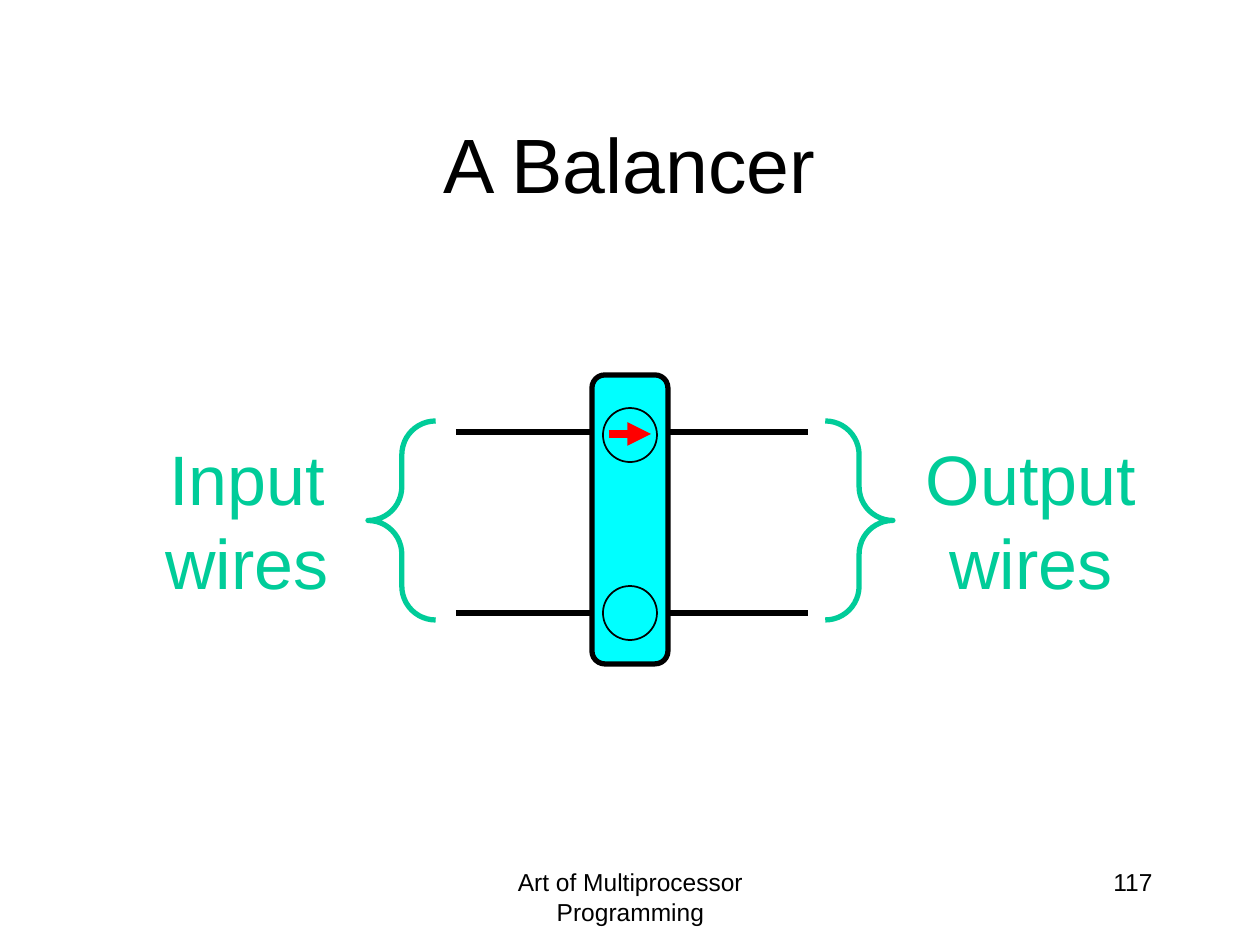
from lxml import etree
from pptx import Presentation
from pptx import util as u
from pptx.dml.color import RGBColor
from pptx.enum import shapes, text
from pptx.oxml.ns import qn

PX = 914400 // 126
BLACK, GREEN, CYAN, RED = "000000", "00CC99", "00FFFF", "FF0000"
CENTER, RIGHT = text.PP_ALIGN.CENTER, text.PP_ALIGN.RIGHT
TOP, MIDDLE = text.MSO_ANCHOR.TOP, text.MSO_ANCHOR.MIDDLE
KIND = shapes.MSO_SHAPE

# lines, box in px, size in pt, colour, alignment, anchor, wrap
TEXTS = [
    (["A Balancer"], (94, 84, 1071, 158), 44, BLACK, CENTER, MIDDLE, True),
    (["Input", "wires"], (152, 428, 190, 183), 40, GREEN, CENTER, MIDDLE, False),
    (["Output", "wires"], (912, 428, 238, 183), 40, GREEN, CENTER, MIDDLE, False),
    (["Art of Multiprocessor Programming"], (431, 861, 399, 63), 14, BLACK, CENTER, TOP, True),
    (["117"], (903, 861, 262, 63), 14, BLACK, RIGHT, TOP, True),
]
CENTER_X = 630
WIRE_LEFT, WIRE_RIGHT = 456, 808
WIRE_YS = (432, 613)
PORT_YS = (435, 613)
PORT_SIZE = 54
BALANCER = (592, 375, 76, 289)
BRACES = (368, 421, 525, 199)
ARROW = (609, 434, 651, 434)


def px(*values):
    return [u.Emu(v * PX) for v in values]


def color(hex_text):
    return RGBColor.from_string(hex_text)


def add_text(s, lines, box, size, ink, align, anchor, wrap):
    tf = s.shapes.add_textbox(*px(*box)).text_frame
    tf.word_wrap = wrap
    tf.vertical_anchor = anchor
    for i, line in enumerate(lines):
        p = tf.add_paragraph() if i else tf.paragraphs[0]
        p.alignment = align
        r = p.add_run()
        r.text = line
        r.font.name = "Arial"
        r.font.size = u.Pt(size)
        r.font.color.rgb = color(ink)


def add_shape(s, kind, box, ink, width, fill=None):
    sp = s.shapes.add_shape(kind, *px(*box))
    sp.shadow.inherit = False
    sp.line.color.rgb = color(ink)
    sp.line.width = u.Pt(width)
    if fill:
        sp.fill.solid()
        sp.fill.fore_color.rgb = color(fill)
    else:
        sp.fill.background()
    return sp


def add_line(s, ends, ink, width, arrow=False):
    cx = s.shapes.add_connector(shapes.MSO_CONNECTOR.STRAIGHT, *px(*ends))
    cx.line.color.rgb = color(ink)
    cx.line.width = u.Pt(width)
    if arrow:
        etree.SubElement(cx.line._get_or_add_ln(), qn("a:tailEnd"), type="triangle")
    etree.SubElement(cx._element.spPr, qn("a:effectLst"))


def main():
    prs = Presentation()
    prs.slide_width, prs.slide_height = u.Inches(10), u.Inches(7.5)
    s = prs.slides.add_slide(prs.slide_layouts[6])

    for y in WIRE_YS:
        add_line(s, (WIRE_LEFT, y, WIRE_RIGHT, y), BLACK, 3)
    add_shape(s, KIND.ROUNDED_RECTANGLE, BALANCER, BLACK, 3, CYAN).adjustments[0] = 0.17
    add_shape(s, KIND.DOUBLE_BRACE, BRACES, GREEN, 3).adjustments[0] = 0.17
    for y in PORT_YS:
        box = (CENTER_X - PORT_SIZE // 2, y - PORT_SIZE // 2, PORT_SIZE, PORT_SIZE)
        add_shape(s, KIND.OVAL, box, BLACK, 1)
    add_line(s, ARROW, RED, 4.5, arrow=True)
    for item in TEXTS:
        add_text(s, *item)

    prs.save("out.pptx")


if __name__ == "__main__":
    main()
